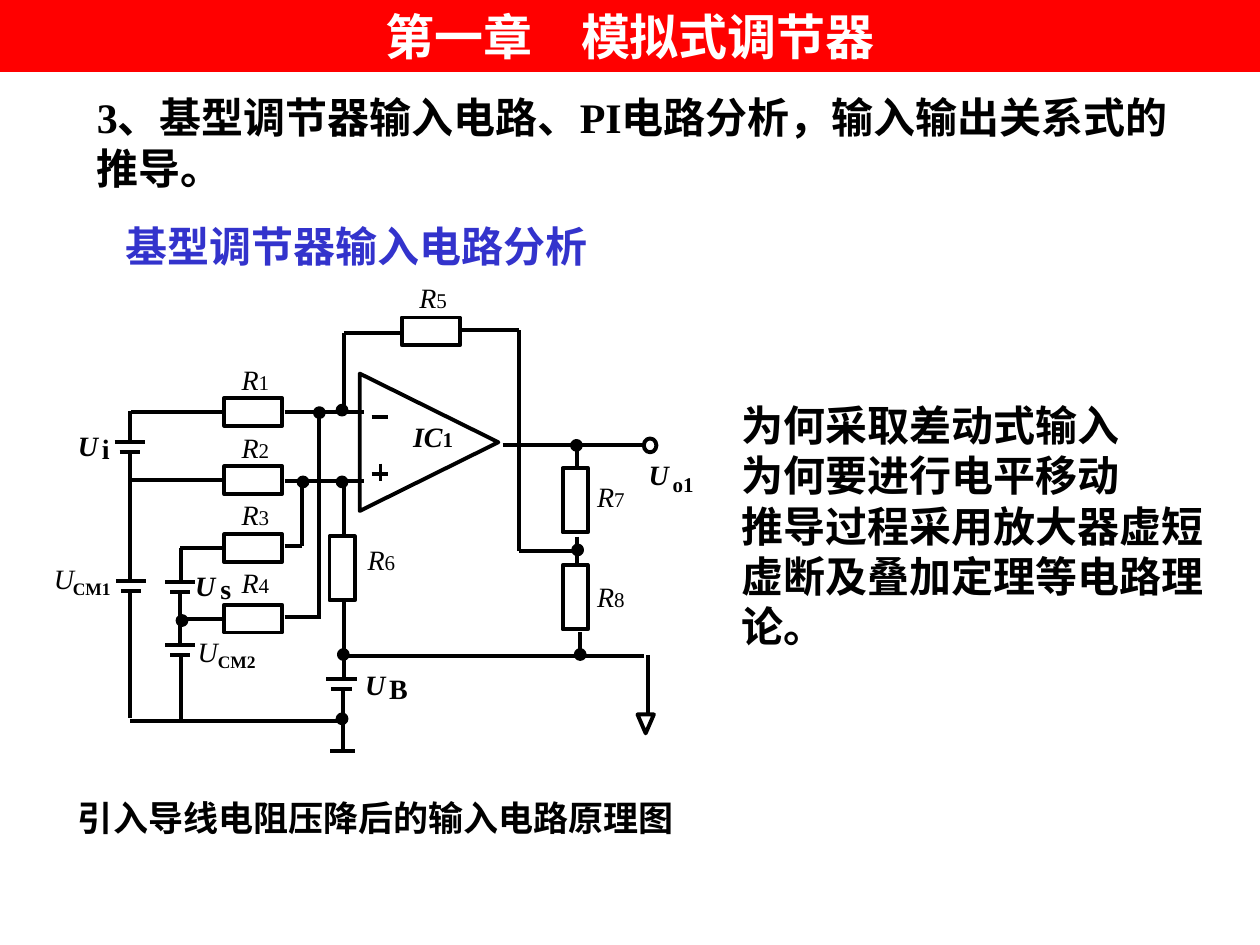
from dataclasses import dataclass

from lxml import etree
from pptx import Presentation
from pptx.dml.color import RGBColor
from pptx.enum import shapes, text
from pptx.oxml.ns import qn
from pptx.util import Inches, Pt

COLORS = {"band": "FF0000", "white": "FFFFFF", "black": "000000", "heading": "3333CC"}
FONT = "Times New Roman"
LINE_WIDTH = Pt(2.25)
DOT = 0.07
SHAPE = shapes.MSO_SHAPE


@dataclass
class Part:
    kind: SHAPE
    left: float
    top: float
    width: float
    height: float
    rotation: int = 0
    filled: bool = False


@dataclass
class Resistor:
    left: float
    top: float
    number: int
    label_left: float
    label_top: float
    upright: bool = False


@dataclass
class Source:
    """A voltage name: symbol and subscript stand in separate boxes."""
    left: float
    top: float
    subscript: str
    sub_left: float
    sub_top: float
    sub_size: int = 16
    bold: bool = True


RESISTORS = [
    Resistor(1.78, 3.16, 1, 1.82, 2.83),
    Resistor(1.78, 3.7, 2, 1.82, 3.37),
    Resistor(1.78, 4.24, 3, 1.82, 3.9),
    Resistor(1.78, 4.8, 4, 1.82, 4.44),
    Resistor(3.19, 2.52, 5, 3.23, 2.18),
    Resistor(2.46, 4.41, 6, 2.82, 4.26, True),
    Resistor(4.31, 3.87, 7, 4.64, 3.76, True),
    Resistor(4.31, 4.64, 8, 4.64, 4.55, True),
]
SOURCES = [
    Source(0.52, 3.35, "i", 0.71, 3.38),
    Source(1.45, 4.46, "s", 1.65, 4.49),
    Source(5.05, 3.58, "o1", 5.24, 3.69, 12),
    Source(0.33, 4.41, "CM1", 0.48, 4.54, 10, False),
    Source(1.47, 4.99, "CM2", 1.63, 5.12, 10, False),
    Source(2.8, 5.25, "B", 2.99, 5.28),
]
PARTS = [
    Part(SHAPE.FLOWCHART_EXTRACT, 2.86, 2.96, 1.09, 1.1, 90),
    Part(SHAPE.OVAL, 5.11, 3.48, 0.1, 0.11),
    Part(SHAPE.FLOWCHART_MERGE, 5.06, 5.67, 0.13, 0.15),
]
NODES = [(2.5, 3.24), (2.37, 3.79), (2.68, 3.79), (2.68, 3.22), (4.55, 4.33),
         (4.54, 3.5), (4.57, 5.16), (2.69, 5.16), (2.68, 5.67), (1.41, 4.89)]
# Centre of each battery's long plate
BATTERIES = [(1.03, 3.51), (1.04, 4.61), (1.43, 4.62), (1.43, 5.12), (2.71, 5.39)]
WIRES = [
    # Amplifier signs, inputs and output
    (2.95, 3.31, 3.08, 3.31), (2.95, 3.76, 3.08, 3.76), (3.02, 3.68, 3.02, 3.82),
    (2.26, 3.27, 2.89, 3.27), (2.26, 3.82, 2.89, 3.82), (3.99, 3.53, 5.11, 3.53),
    # Feedback loop
    (2.73, 3.26, 2.73, 2.64), (2.73, 2.64, 3.19, 2.64), (3.65, 2.62, 4.12, 2.62),
    (4.12, 2.62, 4.12, 4.37), (4.12, 4.37, 4.58, 4.37),
    # Input branches
    (1.04, 3.27, 1.77, 3.27), (1.04, 3.81, 1.77, 3.81),
    (1.43, 4.35, 1.79, 4.35), (1.43, 4.91, 1.76, 4.91),
    (2.4, 3.82, 2.4, 4.33), (2.26, 4.33, 2.4, 4.33),
    (2.53, 3.27, 2.53, 4.91), (2.26, 4.9, 2.53, 4.9),
    # Battery columns
    (1.03, 3.26, 1.03, 3.5), (1.03, 3.59, 1.03, 4.62), (1.03, 4.71, 1.03, 5.7),
    (1.44, 4.35, 1.44, 4.62), (1.43, 4.7, 1.43, 5.11), (1.44, 5.2, 1.44, 5.71),
    (2.73, 3.82, 2.73, 4.26), (2.73, 4.77, 2.73, 5.39), (2.72, 5.48, 2.72, 5.96),
    # Output divider
    (4.58, 3.53, 4.58, 3.73), (4.58, 4.26, 4.58, 4.49), (4.6, 5.02, 4.6, 5.2),
    # Common rails and ground
    (2.73, 5.21, 5.11, 5.21), (5.14, 5.2, 5.14, 5.67),
    (1.03, 5.72, 2.72, 5.72), (2.62, 5.96, 2.82, 5.96),
]


def rgb(name: str) -> RGBColor:
    return RGBColor.from_string(COLORS[name])


def set_font(font, size: int, bold: bool, color: str = "black") -> None:
    font.name, font.size, font.bold = FONT, Pt(size), bold
    font.color.rgb = rgb(color)


def add_text(slide, left: float, top: float, width: float, height: float,
             lines: list[str], size: int, bold: bool = True, color: str = "black",
             align=text.PP_ALIGN.LEFT):
    tf = slide.shapes.add_textbox(*map(Inches, (left, top, width, height))).text_frame
    tf.word_wrap = True
    tf.auto_size = text.MSO_AUTO_SIZE.SHAPE_TO_FIT_TEXT
    tf.text = "\n".join(lines)
    for p in tf.paragraphs:
        p.alignment = align
        set_font(p.font, size, bold, color)
    return tf.paragraphs[0]


def add_numbered(slide, left: float, top: float, width: float, symbol: str,
                 number: int, bold: bool = False) -> None:
    """Italic symbol followed by a smaller upright number."""
    p = add_text(slide, left, top, width, 0.37, [symbol], 16, bold)
    p.runs[0].font.italic = True
    r = p.add_run()
    r.text = str(number)
    r.font.size = Pt(12)


def add_part(slide, part: Part) -> None:
    box = map(Inches, (part.left, part.top, part.width, part.height))
    sp = slide.shapes.add_shape(part.kind, *box)
    sp.shadow.inherit = False
    sp.rotation = part.rotation
    sp.line.color.rgb = rgb("black")
    sp.line.width = LINE_WIDTH
    if part.filled:
        sp.fill.solid()
        sp.fill.fore_color.rgb = rgb("black")
    else:
        sp.fill.background()


def add_wire(slide, x1: float, y1: float, x2: float, y2: float) -> None:
    line = slide.shapes.add_connector(shapes.MSO_CONNECTOR.STRAIGHT,
                                      *map(Inches, (x1, y1, x2, y2)))
    line.line.color.rgb = rgb("black")
    line.line.width = LINE_WIDTH
    etree.SubElement(line._element.spPr, qn("a:effectLst"))


def add_battery(slide, x: float, y: float) -> None:
    for half, drop in ((0.12, 0), (0.08, 0.08)):
        add_wire(slide, x - half, y + drop, x + half, y + drop)


def add_resistor(slide, res: Resistor) -> None:
    width, height, rotation = (0.51, 0.2, 90) if res.upright else (0.46, 0.22, 0)
    add_part(slide, Part(SHAPE.RECTANGLE, res.left, res.top, width, height, rotation))
    add_numbered(slide, res.label_left, res.label_top, 0.46, "R", res.number)


def add_source(slide, src: Source) -> None:
    p = add_text(slide, src.left, src.top, 0.46, 0.37, ["U"], 16, src.bold)
    p.font.italic = True
    width, height = {16: (0.46, 0.37), 12: (0.46, 0.3), 10: (0.51, 0.27)}[src.sub_size]
    add_text(slide, src.sub_left, src.sub_top, width, height, [src.subscript], src.sub_size)


def add_title(slide, words: str) -> None:
    title = slide.shapes.title
    title.left, title.top, title.width, title.height = map(Inches, (0, 0, 10, 0.57))
    title.fill.solid()
    title.fill.fore_color.rgb = rgb("band")
    tf = title.text_frame
    tf.text = words
    tf.auto_size = text.MSO_AUTO_SIZE.NONE
    tf.vertical_anchor = text.MSO_ANCHOR.MIDDLE
    p = tf.paragraphs[0]
    p.alignment = text.PP_ALIGN.CENTER
    set_font(p.font, 28, True, "white")


def main() -> None:
    prs = Presentation()
    prs.slide_width, prs.slide_height = Inches(10), Inches(7.5)
    s = prs.slides.add_slide(prs.slide_layouts[5])
    add_title(s, "第一章　模拟式调节器")
    add_text(s, 0.67, 0.68, 8.75, 0.9,
             ["3、基型调节器输入电路、PI电路分析，输入输出关系式的推导。"], 24)
    add_text(s, 0.9, 1.7, 3.94, 0.5, ["基型调节器输入电路分析"], 24, color="heading")
    for part in PARTS:
        add_part(s, part)
    for wire in WIRES:
        add_wire(s, *wire)
    for x, y in BATTERIES:
        add_battery(s, x, y)
    for res in RESISTORS:
        add_resistor(s, res)
    for x, y in NODES:
        add_part(s, Part(SHAPE.OVAL, x, y, DOT, DOT, filled=True))
    for src in SOURCES:
        add_source(s, src)
    add_numbered(s, 3.18, 3.28, 0.6, "IC", 1, bold=True)
    add_text(s, 0.27, 6.27, 5.43, 0.44, ["引入导线电阻压降后的输入电路原理图"], 20,
             align=text.PP_ALIGN.CENTER)
    add_text(s, 5.79, 3.12, 3.94, 2.1,
             ["为何采取差动式输入", "为何要进行电平移动",
              "推导过程采用放大器虚短虚断及叠加定理等电路理论。"], 24)
    prs.save("out.pptx")


if __name__ == "__main__":
    main()
